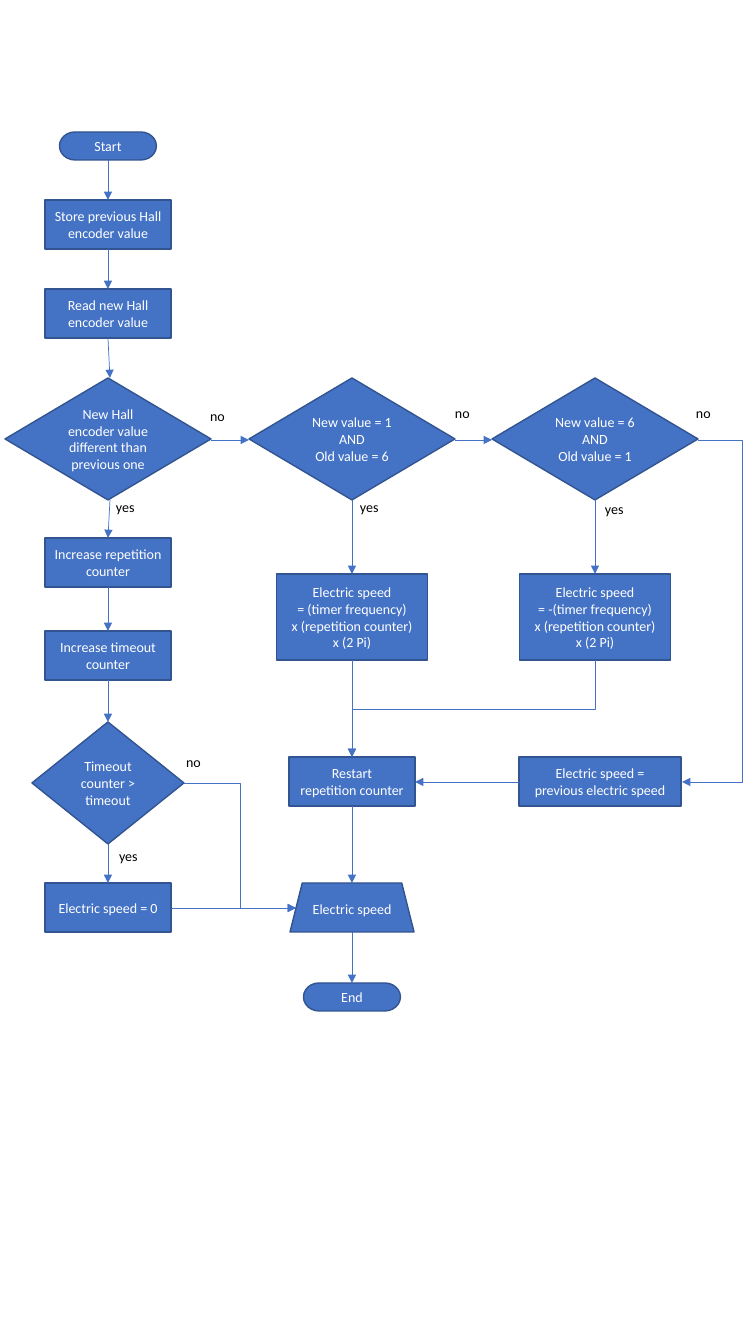
from lxml import etree
from pptx import Presentation
from pptx.dml.color import RGBColor
from pptx.enum.shapes import MSO_CONNECTOR, MSO_SHAPE
from pptx.enum.text import MSO_ANCHOR, PP_ALIGN
from pptx.oxml.ns import qn
from pptx.util import Pt

PROCESS = MSO_SHAPE.FLOWCHART_PROCESS
DECISION = MSO_SHAPE.FLOWCHART_DECISION
TERMINATOR = MSO_SHAPE.FLOWCHART_TERMINATOR
TRAPEZOID = MSO_SHAPE.TRAPEZOID
STRAIGHT = MSO_CONNECTOR.STRAIGHT
ELBOW = MSO_CONNECTOR.ELBOW
MIDDLE = MSO_ANCHOR.MIDDLE
TOP = MSO_ANCHOR.TOP
CENTER = PP_ALIGN.CENTER
LEFT = PP_ALIGN.LEFT

SCALE = 914400 / 100.8
THEME = {
    "font": "Calibri",
    "size": Pt(10),
    "fill": RGBColor(0x44, 0x72, 0xC4),
    "outline": RGBColor(0x32, 0x54, 0x91),
    "box_text": RGBColor(0xFF, 0xFF, 0xFF),
    "label_text": RGBColor(0, 0, 0),
    "outline_width": Pt(1),
    "arrow_width": Pt(0.5),
}


def emu(*pixels):
    return [round(pixel * SCALE) for pixel in pixels]


def write_text(shape, lines, color, alignment, anchor, margins):
    text_frame = shape.text_frame
    side, end = emu(*margins)
    frame_format = {
        "word_wrap": True, "vertical_anchor": anchor,
        "margin_left": side, "margin_right": side,
        "margin_top": end, "margin_bottom": end,
    }
    for name, value in frame_format.items():
        setattr(text_frame, name, value)
    text_frame.text = lines
    for paragraph in text_frame.paragraphs:
        paragraph.alignment = alignment
        for name, value in {"name": THEME["font"], "size": THEME["size"]}.items():
            setattr(paragraph.font, name, value)
        paragraph.font.color.rgb = color


presentation = Presentation()
presentation.slide_width, presentation.slide_height = emu(756, 1344)
slide = presentation.slides.add_slide(presentation.slide_layouts[6])

FIRST, SECOND, THIRD = 108, 352, 595
STEP = (126, 49)
CHOICE = (206, 122)
PILL = (97, 28)
FORMULA = (151, 86)

boxes = [
    (TERMINATOR, FIRST, 132, PILL, "Start"),
    (PROCESS, FIRST, 200, STEP, "Store previous Hall encoder value"),
    (PROCESS, FIRST, 289, STEP, "Read new Hall encoder value"),
    (DECISION, FIRST, 378, CHOICE, "New Hall encoder value different than previous one"),
    (PROCESS, FIRST, 538, STEP, "Increase repetition counter"),
    (PROCESS, FIRST, 631, STEP, "Increase timeout counter"),
    (DECISION, FIRST, 722, (152, 122), "Timeout counter > timeout"),
    (PROCESS, FIRST, 883, STEP, "Electric speed = 0"),
    (DECISION, SECOND, 378, CHOICE, "New value = 1\nAND\nOld value = 6"),
    (DECISION, THIRD, 378, CHOICE, "New value = 6\nAND\nOld value = 1"),
    (PROCESS, SECOND, 574, FORMULA,
     "Electric speed\n= (timer frequency)\nx (repetition counter)\nx (2 Pi)"),
    (PROCESS, THIRD, 574, FORMULA,
     "Electric speed\n= -(timer frequency)\nx (repetition counter)\nx (2 Pi)"),
    (PROCESS, SECOND, 757, STEP, "Restart\nrepetition counter"),
    (PROCESS, 600, 757, (162, 49), "Electric speed =\nprevious electric speed"),
    (TRAPEZOID, SECOND, 883, (124, 49), "Electric speed"),
    (TERMINATOR, SECOND, 983, PILL, "End"),
]
for kind, center, top, (width, height), lines in boxes:
    shape = slide.shapes.add_shape(kind, *emu(center - width / 2, top, width, height))
    shape.shadow.inherit = False
    shape.fill.solid()
    shape.fill.fore_color.rgb = THEME["fill"]
    shape.line.color.rgb = THEME["outline"]
    shape.line.width = THEME["outline_width"]
    write_text(shape, lines, THEME["box_text"], CENTER, MIDDLE, (6, 3))

labels = [
    ("yes", 106, 494), ("yes", 350, 494), ("yes", 595, 496), ("yes", 109, 843),
    ("no", 200, 403), ("no", 445, 400), ("no", 686, 400), ("no", 176, 749),
]
for word, left, top in labels:
    label = slide.shapes.add_textbox(*emu(left, top, 56, 27))
    write_text(label, word, THEME["label_text"], LEFT, TOP, (10, 5))

arrows = [
    (STRAIGHT, start, end, None, 0) for start, end in [
        ((FIRST, 160), (FIRST, 200)),
        ((FIRST, 249), (FIRST, 289)),
        ((FIRST, 338), (110, 378)),
        ((110, 500), (FIRST, 538)),
        ((FIRST, 587), (FIRST, 631)),
        ((FIRST, 680), (FIRST, 722)),
        ((FIRST, 844), (FIRST, 883)),
        ((SECOND, 500), (SECOND, 574)),
        ((THIRD, 500), (THIRD, 574)),
        ((SECOND, 660), (SECOND, 757)),
        ((SECOND, 806), (SECOND, 883)),
        ((SECOND, 932), (SECOND, 983)),
        ((211, 440), (249, 440)),
        ((455, 440), (492, 440)),
        ((519, 782), (415, 782)),
        ((171, 908), (296, 908)),
    ]
] + [
    (ELBOW, (184, 783), (296, 908), 240, 0),
    (ELBOW, (698, 440), (682, 782), 742, 0),
    (ELBOW, (425, 587), (522, 830), 474, 90),
]
for kind, start, end, bend, rotation in arrows:
    connector = slide.shapes.add_connector(kind, *emu(*start, *end))
    connector.line.color.rgb = THEME["fill"]
    connector.line.width = THEME["arrow_width"]
    properties = connector.element.spPr
    etree.SubElement(properties.find(qn("a:ln")), qn("a:tailEnd"), type="triangle")
    etree.SubElement(properties, qn("a:effectLst"))
    if bend is not None:
        share = round((bend - start[0]) / (end[0] - start[0]) * 100000)
        adjustments = properties.find(qn("a:prstGeom")).find(qn("a:avLst"))
        etree.SubElement(adjustments, qn("a:gd"), name="adj1", fmla=f"val {share}")
    if rotation:
        properties.find(qn("a:xfrm")).set("rot", str(rotation * 60000))

presentation.save("out.pptx")
